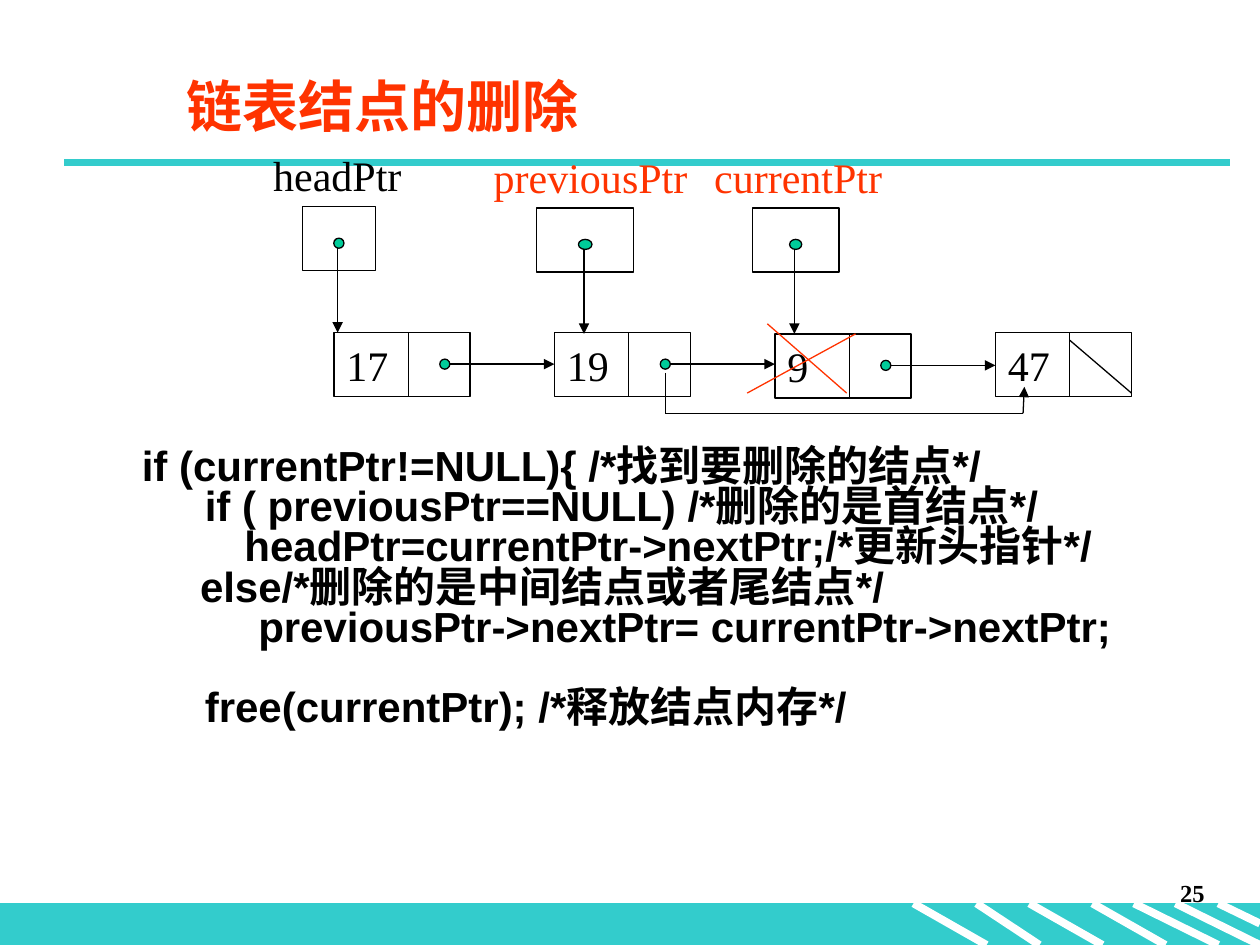
from lxml import etree
from pptx import Presentation
from pptx.dml.color import RGBColor
from pptx.enum.shapes import MSO_CONNECTOR, MSO_SHAPE
from pptx.enum.text import MSO_ANCHOR, PP_ALIGN
from pptx.oxml.ns import qn
from pptx.util import Inches, Pt

STRAIGHT = MSO_CONNECTOR.STRAIGHT
RECT, OVAL = MSO_SHAPE.RECTANGLE, MSO_SHAPE.OVAL
TOP, MIDDLE = MSO_ANCHOR.TOP, MSO_ANCHOR.MIDDLE
LEFT, RIGHT = PP_ALIGN.LEFT, PP_ALIGN.RIGHT

TEAL = RGBColor(0x33, 0xCC, 0xCC)
GREEN = RGBColor(0x00, 0xCC, 0x99)
RED = RGBColor(0xFF, 0x33, 0x00)
BLACK = RGBColor(0, 0, 0)
WHITE = RGBColor(0xFF, 0xFF, 0xFF)

W, H = 10, 7.5
STEP = 1.75                 # distance from one list node to the next
NODE_W, BOX_H = 1.08, 0.51
DOT = 0.08

LABEL = {"name": "Times New Roman", "size": Pt(24), "bold": False}
CODE = {"name": "Arial", "size": Pt(24), "bold": True}
TITLE = {"name": "Arial", "size": Pt(32), "bold": True}
NUMBER = {"name": "Times New Roman", "size": Pt(14), "bold": True}

CODE_LINES = [
    "   if (currentPtr!=NULL){ /*找到要删除的结点*/",
    "    \t   if ( previousPtr==NULL) /*删除的是首结点*/",
    "        \t headPtr=currentPtr->nextPtr;/*更新头指针*/",
    "        else/*删除的是中间结点或者尾结点*/",
    "             previousPtr->nextPtr= currentPtr->nextPtr;",
    "",
    " \t   free(currentPtr); /*释放结点内存*/",
]


def place(sp, x, y, w, h):
    sp.left, sp.top, sp.width, sp.height = map(Inches, (x, y, w, h))


def write(sp, lines, fmt, color=BLACK, align=LEFT, anchor=MIDDLE, spacing=None):
    tf = sp.text_frame
    tf.word_wrap = True
    tf.vertical_anchor = anchor
    for i, line in enumerate(lines):
        p = tf.paragraphs[0] if i == 0 else tf.add_paragraph()
        p.alignment = align
        p.line_spacing = spacing
        r = p.add_run() if line else p
        if line:
            r.text = line
        for key, value in fmt.items():
            setattr(r.font, key, value)
        r.font.color.rgb = color


def add_text(s, box, lines, fmt, **kw):
    write(s.shapes.add_textbox(*map(Inches, box)), lines, fmt, **kw)


def add_box(s, kind, x, y, w, h, fill=None, line=BLACK):
    sp = s.shapes.add_shape(kind, *map(Inches, (x, y, w, h)))
    sp.shadow.inherit = False
    if fill is None:
        sp.fill.background()
    else:
        sp.fill.solid()
        sp.fill.fore_color.rgb = fill
    sp.line.color.rgb = line
    sp.line.width = Pt(0.75)
    return sp


def add_line(s, x1, y1, x2, y2, color=BLACK, width=0.75, arrow=False):
    c = s.shapes.add_connector(STRAIGHT, *map(Inches, (x1, y1, x2, y2)))
    c.line.color.rgb = color
    c.line.width = Pt(width)
    if arrow:
        etree.SubElement(c.line._get_or_add_ln(), qn("a:tailEnd"), type="triangle")
    etree.SubElement(c._element.spPr, qn("a:effectLst"))


def add_frame(s, number):
    """Title rule, striped footer band and slide number."""
    top = 7.17
    add_box(s, RECT, 0, top, W, H - top, TEAL, TEAL)
    stripes = [(7.25, 7.83), (7.75, 8.25), (8.17, 8.75), (8.67, 9.25),
               (9, 9.67), (9.33, 10)]
    for x1, x2 in stripes:
        add_line(s, x1, top, x2, H, WHITE, 4.5)
    add_line(s, 9.67, top, W, 7.33, WHITE, 4.5)
    add_line(s, 0.51, 1.29, 9.76, 1.29, TEAL, 4.5)
    add_text(s, (7.58, 6.92, 2.08, 0.5), [number], NUMBER,
             align=RIGHT, anchor=TOP)


def add_node(s, x, y, value, last=False):
    """List node: value cell and link cell, with a link to the next node."""
    write(add_box(s, RECT, x, y, NODE_W, BOX_H), [value], LABEL)
    split = x + 0.59
    add_line(s, split, y, split, y + 0.5)
    if last:
        add_line(s, split, y + 0.06, x + NODE_W, y + 0.48)
        return
    add_line(s, x + 0.92, y + 0.25, x + STEP, y + 0.25, arrow=True)
    add_box(s, OVAL, x + 0.84, y + 0.21, DOT, DOT, GREEN)


def add_pointer(s, x, y, w, name, label_x, label_w, color):
    """Pointer variable: name above a box, arrow down to its node."""
    add_box(s, RECT, x, y, w, BOX_H)
    add_text(s, (label_x, y - 0.5, label_w, 0.5), [name], LABEL, color=color)
    mid, dot_w = x + w / 2, w * 0.14
    add_box(s, OVAL, mid - dot_w / 2, y + 0.25, dot_w, DOT, GREEN)
    add_line(s, mid - 0.01, y + 0.33, mid - 0.01, y + 1, arrow=True)


def add_linked_list(s, x, y):
    """Linked list whose first node is at x, y; the third node is removed."""
    nodes = [("17", 0), ("19", 0), ("9", 0.01), ("47", 0)]
    for i, (value, dy) in enumerate(nodes):
        add_node(s, x + i * STEP, y + dy, value, last=i == len(nodes) - 1)

    pointers = [("headPtr", 2.4, 0.58, 1.33, BLACK, 0),
                ("previousPtr", 4.26, 0.77, 1.75, RED, 0.01),
                ("currentPtr", 5.97, 0.69, 1.58, RED, 0.01)]
    for i, (name, px, w, label_w, color, dy) in enumerate(pointers):
        add_pointer(s, px, y - 1 + dy, w, name,
                    x - 0.58 + i * STEP, label_w, color)

    bypass = [(2.63, 0.32), (2.63, 0.64), (5.47, 0.64), (5.48, 0.43)]
    for i, ((x1, y1), (x2, y2)) in enumerate(zip(bypass, bypass[1:])):
        add_line(s, x + x1, y + y1, x + x2, y + y2, arrow=i == 2)
    for x1, y1, x2, y2 in [(4.14, 0.01, 3.28, 0.48), (3.44, -0.07, 4.07, 0.48)]:
        add_line(s, x + x1, y + y1, x + x2, y + y2, RED)


def main():
    prs = Presentation()
    prs.slide_width, prs.slide_height = Inches(W), Inches(H)
    s = prs.slides.add_slide(prs.slide_layouts[5])
    add_frame(s, "25")
    title = s.shapes.title
    place(title, 1.38, 0.44, 8.5, 0.79)
    write(title, ["链表结点的删除"], TITLE, color=RED)
    add_text(s, (0.75, 3.52, 8.5, 2.96), CODE_LINES, CODE,
             anchor=TOP, spacing=Pt(23))
    add_linked_list(s, 2.65, 2.64)
    prs.save("out.pptx")


if __name__ == "__main__":
    main()
